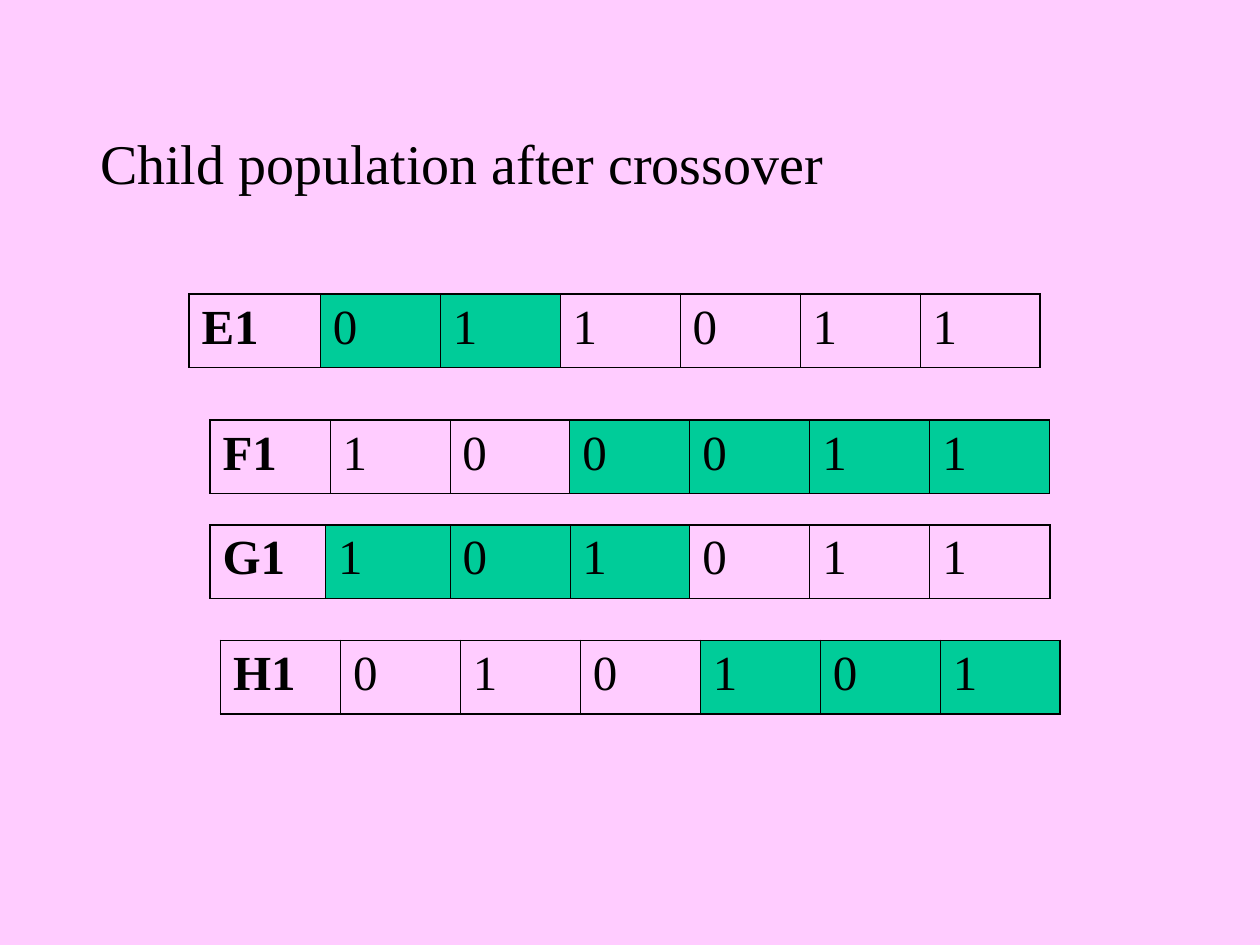
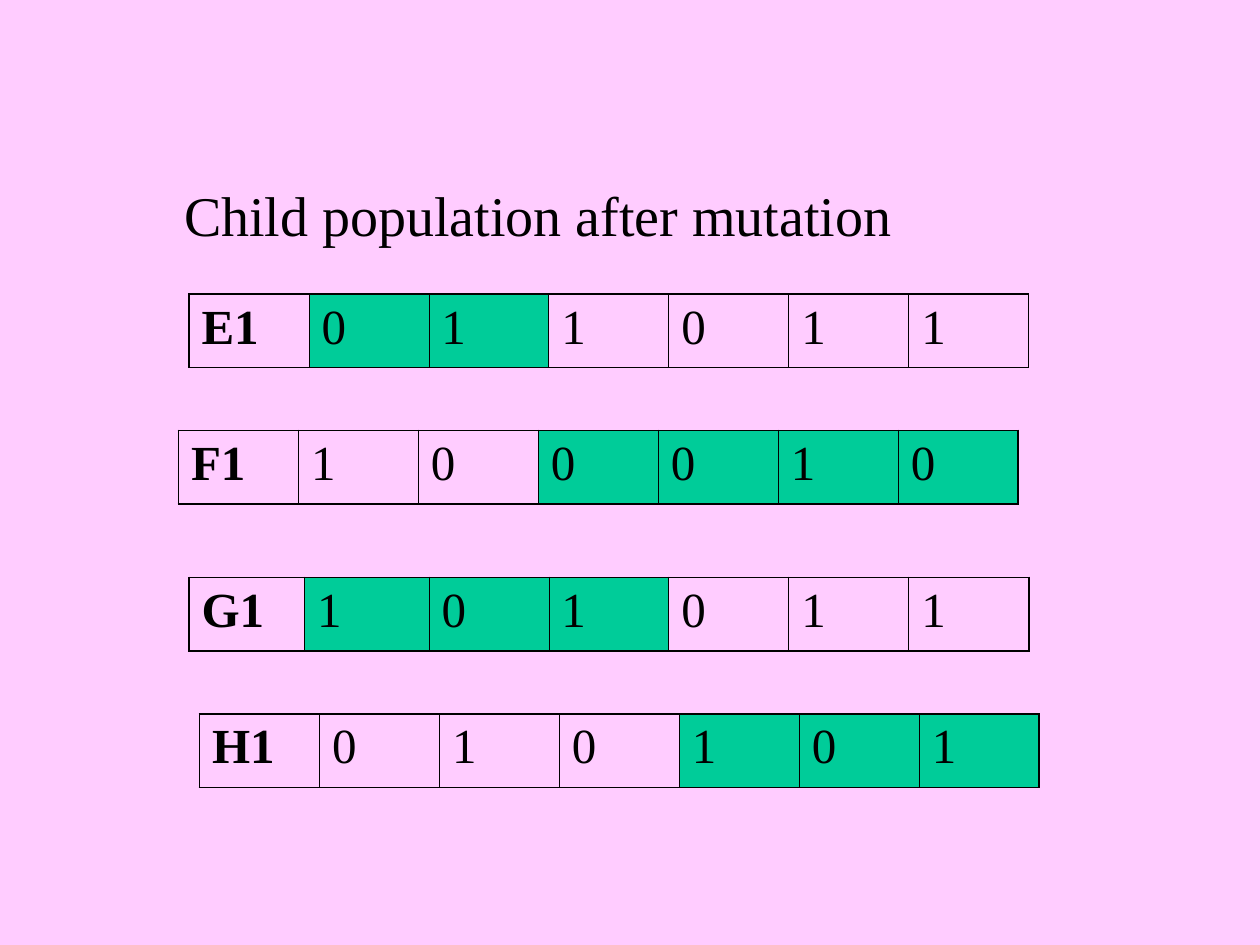
from lxml import etree
from pptx import Presentation
from pptx.dml.color import RGBColor
from pptx.oxml.ns import qn
from pptx.util import Pt

PINK, GREEN, BLACK = "FFCCFF", "00CC99", "000000"
FONT = "Times New Roman"
BIT_WIDTH, ROW_HEIGHT = 68.57, 42
OUTER_LINE, INNER_LINE = 1.08, 0.45
# Widths of the label and of the first bit
EVEN = (BIT_WIDTH, BIT_WIDTH)
WIDE_LABEL = (75, BIT_WIDTH)
NARROW_LABEL = (66, 71.14)

# Title, box (left, top, width, height), title indent, then the chromosomes:
# label, bits, positions of the green bits, left, top, leading widths
POPULATIONS = [
    ("Child population after crossover", (42, 66, 624, 414), 8, [
        ("E1", "011011", range(0, 2), 108, 168, WIDE_LABEL),
        ("F1", "100011", range(2, 6), 120, 240, EVEN),
        ("G1", "101011", range(0, 3), 120, 300, NARROW_LABEL),
        ("H1", "010101", range(3, 6), 126, 366, EVEN),
    ]),
    ("Child population after mutation", (42, 96, 624, 384), 56, [
        ("E1", "011011", range(0, 2), 108, 168, EVEN),
        ("F1", "100010", range(2, 6), 102, 246, EVEN),
        ("H1", "010101", range(3, 6), 114, 408, EVEN),
        ("G1", "101011", range(0, 3), 108, 330, NARROW_LABEL),
    ]),
]


def color(hex_code):
    return RGBColor.from_string(hex_code)


def style_paragraph(paragraph, size, bold=False):
    font = paragraph.font
    font.name, font.size, font.bold = FONT, Pt(size), bold
    font.color.rgb = color(BLACK)


def set_borders(cell, widths):
    """Draw the left, right, top and bottom border in the given widths."""
    properties = cell._tc.get_or_add_tcPr()
    for index, (side, width) in enumerate(zip("LRTB", widths)):
        line = etree.Element(qn(f"a:ln{side}"), w=str(Pt(width)))
        fill = etree.SubElement(line, qn("a:solidFill"))
        etree.SubElement(fill, qn("a:srgbClr"), val=BLACK)
        properties.insert(index, line)


def add_title(slide, title, box, indent):
    frame = slide.shapes.add_textbox(*map(Pt, box)).text_frame
    frame.word_wrap = True
    frame.margin_left = Pt(7.2 + indent)
    frame.margin_top = Pt(7.2)
    frame.text = title
    style_paragraph(frame.paragraphs[0], 32)


def add_chromosome(slide, label, bits, green_bits, left, top, leading_widths):
    genes = [label, *bits]
    widths = [*leading_widths, *[BIT_WIDTH] * (len(bits) - 1)]
    table = slide.shapes.add_table(1, len(genes), Pt(left), Pt(top),
                                   Pt(sum(widths)), Pt(ROW_HEIGHT)).table
    table.first_row = table.horz_banding = False
    last = len(genes) - 1
    for index, (gene, width) in enumerate(zip(genes, widths)):
        table.columns[index].width = Pt(width)
        cell = table.cell(0, index)
        cell.text = gene
        style_paragraph(cell.text_frame.paragraphs[0], 28, bold=index == 0)
        # Bits inherited from the other parent are green
        if index - 1 in green_bits:
            cell.fill.solid()
            cell.fill.fore_color.rgb = color(GREEN)
        else:
            cell.fill.background()
        set_borders(cell, (OUTER_LINE if index == 0 else INNER_LINE,
                           OUTER_LINE if index == last else INNER_LINE,
                           OUTER_LINE, OUTER_LINE))


def add_population_slide(presentation, title, title_box, indent, chromosomes):
    slide = presentation.slides.add_slide(presentation.slide_layouts[6])
    slide.background.fill.solid()
    slide.background.fill.fore_color.rgb = color(PINK)
    add_title(slide, title, title_box, indent)
    for chromosome in chromosomes:
        add_chromosome(slide, *chromosome)


def main():
    presentation = Presentation()
    presentation.slide_width, presentation.slide_height = Pt(720), Pt(540)
    for population in POPULATIONS:
        add_population_slide(presentation, *population)
    presentation.save("out.pptx")


if __name__ == "__main__":
    main()
